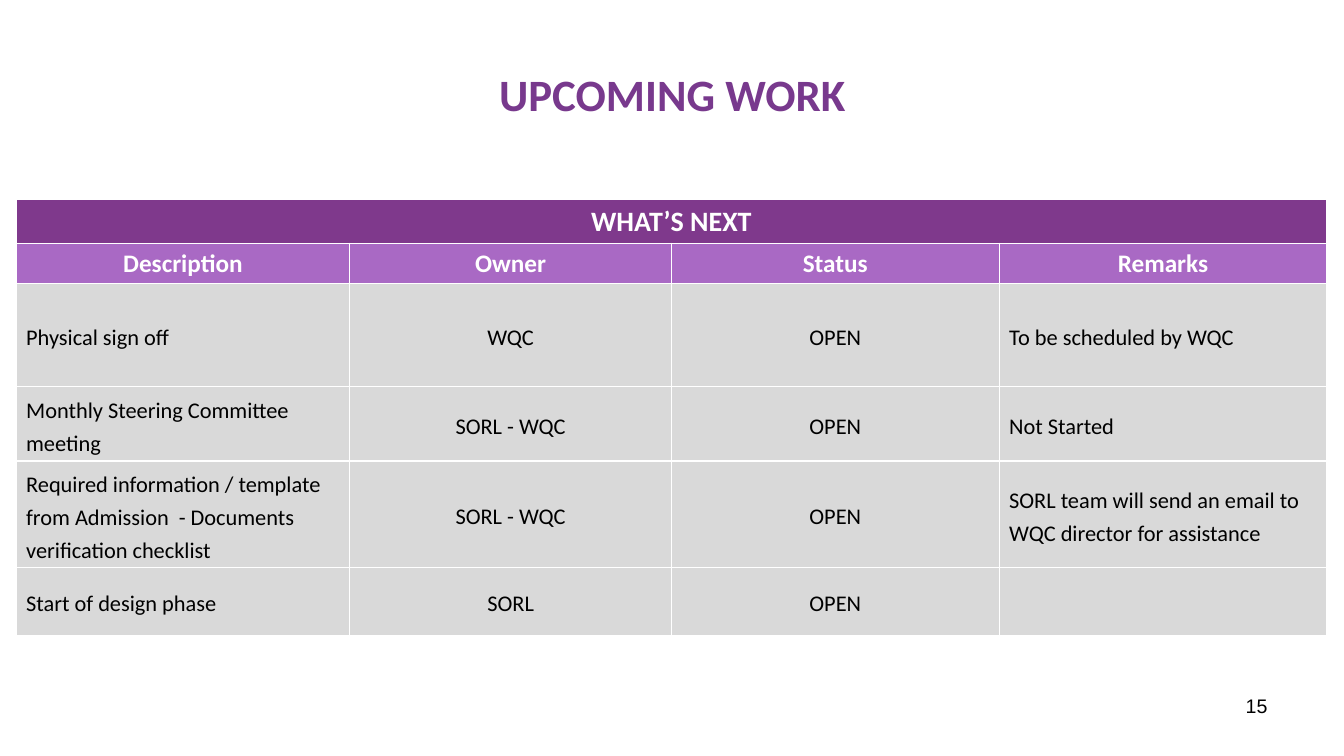
from dataclasses import dataclass

from lxml import etree
from pptx import Presentation
from pptx.dml.color import RGBColor
from pptx.enum.text import MSO_ANCHOR, PP_ALIGN
from pptx.oxml.ns import qn
from pptx.util import Inches, Pt

LEFT, CENTER, RIGHT = PP_ALIGN.LEFT, PP_ALIGN.CENTER, PP_ALIGN.RIGHT
TOP, MIDDLE = MSO_ANCHOR.TOP, MSO_ANCHOR.MIDDLE
TITLE_ONLY = 5


@dataclass(frozen=True)
class Theme:
    font: str = "Calibri"
    number_font: str = "Arial"
    title: str = "78398D"
    banner: str = "7F398C"
    header: str = "A969C4"
    body: str = "D9D9D9"
    white: str = "FFFFFF"
    black: str = "000000"
    title_size: int = 32
    banner_size: int = 20
    header_size: int = 18
    body_size: int = 16
    number_size: int = 14
    border_width: int = 1
    body_spacing: float = 1.2


THEME = Theme()
BANNER_STYLE = {"size": THEME.banner_size, "color": THEME.white, "bold": True}
HEADER_STYLE = {**BANNER_STYLE, "size": THEME.header_size}
BODY_STYLE = {"size": THEME.body_size, "color": THEME.black, "bold": False}

COLUMN_WIDTHS = (3.31, 3.19, 3.25, 3.25)
ROW_HEIGHTS = (0.43, 0.4, 1.02, 0.67, 0.67, 0.67)
BODY_ALIGNMENTS = (LEFT, CENTER, CENTER, LEFT)
HEADINGS = ("Description", "Owner", "Status", "Remarks")
TASKS = (
    ("Physical sign off", "WQC", "OPEN", "To be scheduled by WQC"),
    ("Monthly Steering Committee meeting", "SORL - WQC", "OPEN", "Not Started"),
    ("Required information / template from Admission  - Documents verification checklist",
     "SORL - WQC", "OPEN", "SORL team will send an email to WQC director for assistance"),
    ("Start of design phase", "SORL", "OPEN", ""),
)


def write_text(frame, text, size, color, bold=False, font=THEME.font, align=CENTER, spacing=None):
    paragraph = frame.paragraphs[0]
    paragraph.alignment = align
    if spacing:
        paragraph.line_spacing = spacing
    target = paragraph.font
    if text:
        run = paragraph.add_run()
        run.text = text
        target = run.font
    for name, value in {"size": Pt(size), "bold": bold, "name": font}.items():
        setattr(target, name, value)
    target.color.rgb = RGBColor.from_string(color)


def add_title(slide, text):
    title = slide.shapes.title
    box = {"left": 0.67, "top": 0.3, "width": 12, "height": 1.25}
    for name, value in box.items():
        setattr(title, name, Inches(value))
    title.text_frame.vertical_anchor = MIDDLE
    write_text(title.text_frame, text, THEME.title_size, THEME.title, bold=True)


def add_page_number(slide, text):
    box = slide.shapes.add_textbox(Inches(9.56), Inches(6.83), Inches(3.11), Inches(0.52))
    box.text_frame.word_wrap = True
    write_text(box.text_frame, text, THEME.number_size, THEME.black,
               font=THEME.number_font, align=RIGHT)


def paint_cell(cell, fill):
    """Fill a cell and draw its four borders."""
    properties = cell._tc.get_or_add_tcPr()
    for side in ("lnL", "lnR", "lnT", "lnB"):
        line = etree.SubElement(properties, qn(f"a:{side}"), w=str(Pt(THEME.border_width)))
        solid = etree.SubElement(line, qn("a:solidFill"))
        etree.SubElement(solid, qn("a:srgbClr"), val=THEME.white)
    cell.fill.solid()
    cell.fill.fore_color.rgb = RGBColor.from_string(fill)


def fill_row(row, texts, fill, style, alignments, anchor=TOP, spacing=None):
    for cell, text, align in zip(row.cells, texts, alignments):
        paint_cell(cell, fill)
        cell.vertical_anchor = anchor
        write_text(cell.text_frame, text, **style, align=align, spacing=spacing)


def add_work_table(slide):
    columns = len(COLUMN_WIDTHS)
    table = slide.shapes.add_table(
        len(ROW_HEIGHTS), columns, Inches(0.16), Inches(1.98),
        Inches(sum(COLUMN_WIDTHS)), Inches(sum(ROW_HEIGHTS))).table
    for column, width in zip(table.columns, COLUMN_WIDTHS):
        column.width = Inches(width)
    for row, height in zip(table.rows, ROW_HEIGHTS):
        row.height = Inches(height)

    banner, header, *task_rows = table.rows
    centered = (CENTER,) * columns
    table.cell(0, 0).merge(table.cell(0, columns - 1))
    fill_row(banner, ("WHAT’S NEXT", "", "", ""), THEME.banner, BANNER_STYLE, centered)
    fill_row(header, HEADINGS, THEME.header, HEADER_STYLE, centered)
    for row, task in zip(task_rows, TASKS):
        fill_row(row, task, THEME.body, BODY_STYLE, BODY_ALIGNMENTS, MIDDLE, THEME.body_spacing)


def main():
    deck = Presentation()
    deck.slide_width, deck.slide_height = Inches(13.33), Inches(7.5)
    slide = deck.slides.add_slide(deck.slide_layouts[TITLE_ONLY])
    add_title(slide, "UPCOMING WORK")
    add_page_number(slide, "15")
    add_work_table(slide)
    deck.save("out.pptx")


if __name__ == "__main__":
    main()
